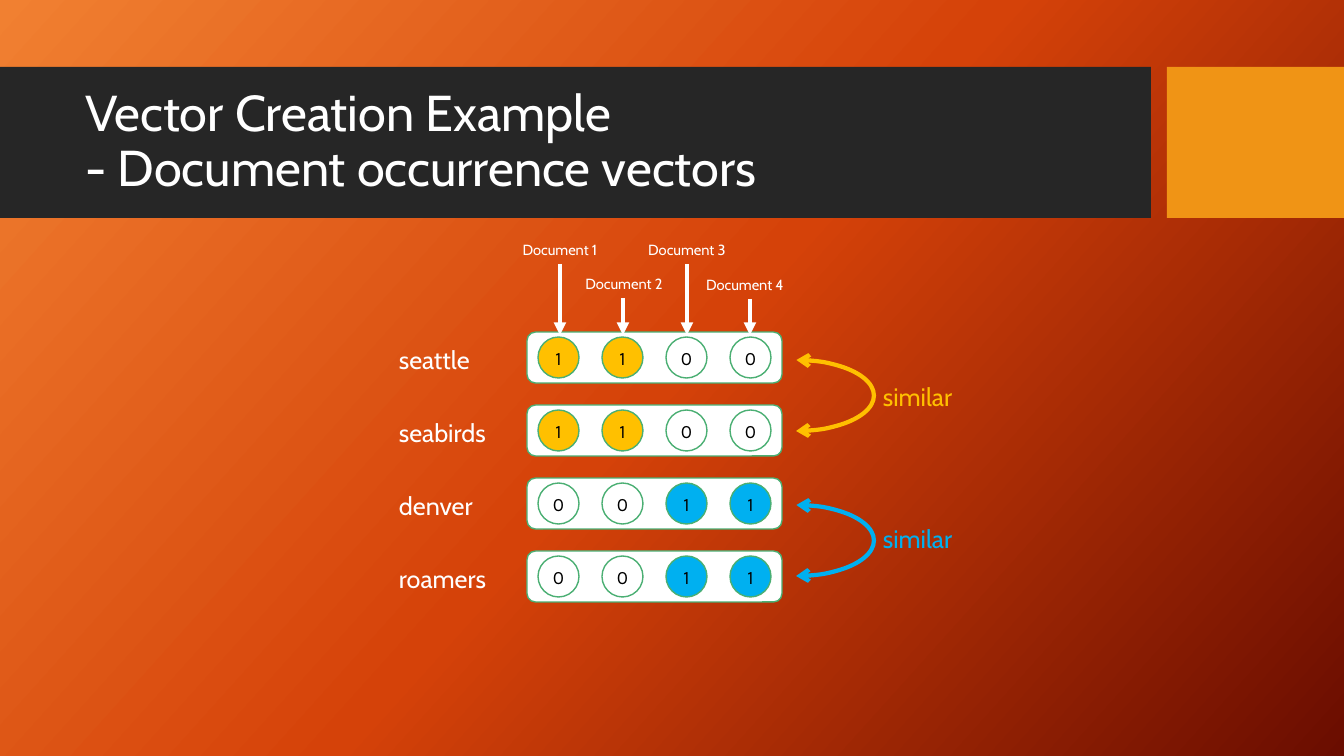
from copy import deepcopy

from lxml import etree
from pptx import Presentation
from pptx.dml.color import RGBColor
from pptx.enum import shapes, text
from pptx.oxml import ns
from pptx.util import Pt

PX = 914400 / 100.8
WHITE = RGBColor(0xFF, 0xFF, 0xFF)
BLACK = RGBColor(0, 0, 0)
CHARCOAL = RGBColor(0x26, 0x26, 0x26)
ORANGE = RGBColor(0xF0, 0x94, 0x15)
GREEN = RGBColor(0x4B, 0xAF, 0x73)
YELLOW = RGBColor(0xFF, 0xC0, 0x00)
BLUE = RGBColor(0x00, 0xB0, 0xF0)
GRADIENT = [(0, RGBColor(0xF1, 0x80, 0x31)),
            (0.5, RGBColor(0xD5, 0x42, 0x09)),
            (1, RGBColor(0x6A, 0x0D, 0x00))]
SHAPE = shapes.MSO_SHAPE
LEFT, CENTER = text.PP_ALIGN.LEFT, text.PP_ALIGN.CENTER


def add_shape(kind, box, fill=None, line=None, line_width=1):
    """Add a preset shape at a px box; no colour means no fill or line."""
    shape = slide.shapes.add_shape(kind, *(round(v * PX) for v in box))
    shape.shadow.inherit = False
    for paint, color in ((shape.fill, fill), (shape.line.fill, line)):
        if color is None:
            paint.background()
        else:
            paint.solid()
            paint.fore_color.rgb = color
    if line is not None:
        shape.line.width = Pt(line_width)
    return shape


def write(shape, words, size, color, name="Cabin", alignment=LEFT):
    """Set the words of a shape and their format."""
    shape.text_frame.word_wrap = True
    shape.text_frame.text = words
    paragraph = shape.text_frame.paragraphs[0]
    paragraph.alignment = alignment
    for run in paragraph.runs:
        for key, value in {"size": Pt(size), "name": name}.items():
            setattr(run.font, key, value)
        run.font.color.rgb = color


presentation = Presentation()
presentation.slide_width = round(1344 * PX)
presentation.slide_height = round(756 * PX)
slide = presentation.slides.add_slide(presentation.slide_layouts[5])

# Background
background = slide.background.fill
background.gradient()
background.gradient_angle = 360 - 42
stop_list = slide.element.find(".//" + ns.qn("a:gsLst"))
stop_list.append(deepcopy(stop_list[0]))
for stop, (position, color) in zip(background.gradient_stops, GRADIENT):
    stop.position = position
    stop.color.rgb = color

# Title banner
add_shape(SHAPE.RECTANGLE, (0, 67, 1151, 151), CHARCOAL)
add_shape(SHAPE.RECTANGLE, (1167, 67, 177, 151), ORANGE)
title = slide.shapes.title
title.element.getparent().append(title.element)
for side, length in {"left": 75, "top": 83, "width": 1059, "height": 119}.items():
    setattr(title, side, round(length * PX))
write(title, "Vector Creation Example\v- Document occurrence vectors", 36, WHITE)
title.text_frame.auto_size = text.MSO_AUTO_SIZE.NONE
title.text_frame.vertical_anchor = text.MSO_ANCHOR.MIDDLE
title.text_frame.paragraphs[0].line_spacing = 0.9

# Word vectors
VECTORS = [("seattle", 100, "1100", YELLOW), ("seabirds", 127, "1100", YELLOW),
           ("denver", 99, "0011", BLUE), ("roamers", 108, "0011", BLUE)]
for row, (word, width, bits, color) in enumerate(VECTORS):
    top = 332 + 73 * row
    add_shape(SHAPE.ROUNDED_RECTANGLE, (527, top, 255, 51), WHITE, GREEN)
    for column, bit in enumerate(bits):
        circle = add_shape(SHAPE.OVAL, (538 + 64 * column, top + 5, 41, 41),
                           color if bit == "1" else WHITE, GREEN)
        write(circle, bit, 13.5, BLACK, "Karla", CENTER)
        for side in ("left", "right", "top", "bottom"):
            setattr(circle.text_frame, "margin_" + side, 0)
    write(add_shape(SHAPE.RECTANGLE, (389, top + 7, width, 40)), word, 18, WHITE)

# Document labels and arrows: label left, label top, arrow x
DOCUMENTS = [(510, 236, 560), (574, 270, 623), (637, 236, 687), (695, 271, 750)]
for number, (left, top, arrow_x) in enumerate(DOCUMENTS, 1):
    label = add_shape(SHAPE.RECTANGLE, (left, top, 100, 28))
    write(label, f"Document {number}", 10.5, WHITE, alignment=CENTER)
    ends = (arrow_x, top + 28, arrow_x, 335)
    arrow = slide.shapes.add_connector(shapes.MSO_CONNECTOR.STRAIGHT,
                                       *(round(v * PX) for v in ends))
    arrow.line.color.rgb = WHITE
    arrow.line.width = Pt(3)
    line = arrow.line._get_or_add_ln()
    etree.SubElement(line, ns.qn("a:tailEnd"), type="triangle")
    etree.SubElement(line.getparent(), ns.qn("a:effectLst"))

# Similarity arcs
for arc_top, label_top, color in ((360, 376, YELLOW), (505, 518, BLUE)):
    arc = add_shape(SHAPE.ARC, (719, arc_top, 155, 71), None, color, 3)
    arc.adjustments[0] = 162
    arc.adjustments[1] = 54.336
    for end in ("a:headEnd", "a:tailEnd"):
        etree.SubElement(arc.line._get_or_add_ln(), ns.qn(end), type="arrow")
    write(add_shape(SHAPE.RECTANGLE, (873, label_top, 97, 40)), "similar", 18, color)

presentation.save("out.pptx")
